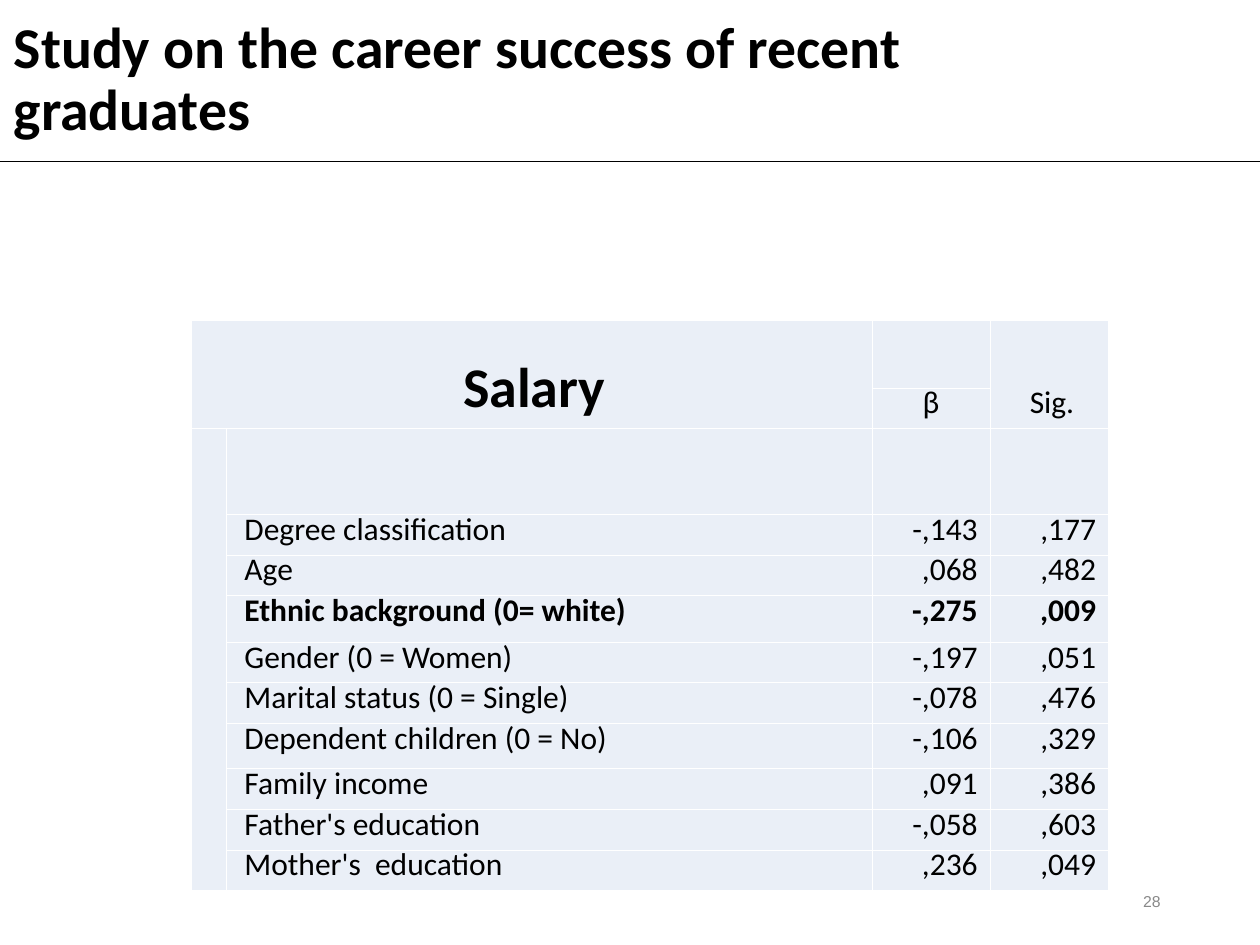
from pptx import Presentation
from pptx.dml.color import RGBColor
from pptx.enum.shapes import MSO_CONNECTOR
from pptx.enum.text import MSO_ANCHOR, PP_ALIGN
from pptx.oxml import parse_xml
from pptx.oxml.ns import nsdecls
from pptx.util import Inches, Pt

BLACK = RGBColor(0x00, 0x00, 0x00)
GREY = RGBColor(0x89, 0x89, 0x89)
PALE = RGBColor(0xEA, 0xEF, 0xF7)


def put(frame, text, size=18, font="Calibri", color=BLACK, bold=False,
        align=PP_ALIGN.LEFT, space=None, indent=0):
    para = frame.paragraphs[0]
    para.alignment = align
    para.line_spacing = space
    if indent:
        para._p.get_or_add_pPr().set("marL", str(Inches(indent)))
    run = para.add_run()
    run.text = text
    run.font.size = Pt(size)
    run.font.name = font
    run.font.bold = bold
    run.font.color.rgb = color


def edge(cell):
    props = cell._tc.get_or_add_tcPr()
    for i, side in enumerate(("lnL", "lnR", "lnT", "lnB")):
        props.insert(i, parse_xml(
            f'<a:{side} {nsdecls("a")} w="{Pt(0.45)}"><a:solidFill>'
            f'<a:srgbClr val="FFFFFF"/></a:solidFill></a:{side}>'))


deck = Presentation()
deck.slide_width = Inches(10)
deck.slide_height = Inches(7.5)
slide = deck.slides.add_slide(deck.slide_layouts[5])

rule = slide.shapes.add_connector(
    MSO_CONNECTOR.STRAIGHT, Inches(0), Inches(1.28), Inches(10), Inches(1.28))
rule.line.color.rgb = BLACK
rule.line.width = Pt(0.5)
rule._element.spPr.append(parse_xml(f'<a:effectLst {nsdecls("a")}/>'))

title = slide.shapes.title
title.left, title.top = Inches(0.01), Inches(0)
title.width, title.height = Inches(8.63), Inches(1.28)
title.text_frame.word_wrap = True
title.text_frame.vertical_anchor = MSO_ANCHOR.MIDDLE
put(title.text_frame, "Study on the career success of recent graduates",
    size=33, bold=True, space=0.9)

page = slide.shapes.add_textbox(
    Inches(7.06), Inches(6.95), Inches(2.25), Inches(0.4))
page.text_frame.word_wrap = True
page.text_frame.vertical_anchor = MSO_ANCHOR.MIDDLE
put(page.text_frame, "28", size=9, font="Arial", color=GREY,
    align=PP_ALIGN.RIGHT)

data = [
    ("Degree classification", "-,143", ",177"),
    ("Age", ",068", ",482"),
    ("Ethnic background (0= white)", "-,275", ",009"),
    ("Gender (0 = Women)", "-,197", ",051"),
    ("Marital status (0 = Single)", "-,078", ",476"),
    ("Dependent children (0 = No)", "-,106", ",329"),
    ("Family income", ",091", ",386"),
    ("Father's education", "-,058", ",603"),
    ("Mother's  education", ",236", ",049"),
]
widths = [0.28, 5.12, 0.94, 0.94]
heights = [0.54, 0.32, 0.68, 0.32, 0.32, 0.37, 0.32, 0.32, 0.36, 0.32, 0.32, 0.32]

table = slide.shapes.add_table(
    len(heights), len(widths), Inches(1.52), Inches(2.54),
    Inches(sum(widths)), Inches(sum(heights))).table
table.first_row = False
table.horz_banding = False
for col, width in zip(table.columns, widths):
    col.width = Inches(width)
for row, height in zip(table.rows, heights):
    row.height = Inches(height)
    for cell in row.cells:
        cell.fill.solid()
        cell.fill.fore_color.rgb = PALE
        cell.margin_top = cell.margin_bottom = Inches(0)
        edge(cell)

table.cell(0, 0).merge(table.cell(1, 1))
table.cell(0, 3).merge(table.cell(1, 3))
table.cell(2, 0).merge(table.cell(11, 0))

heads = [(0, 0, "Salary", 32, True, 0.04), (0, 3, "Sig.", 18, False, 0.04),
         (1, 2, "β", 18, False, 0)]
for r, c, text, size, bold, indent in heads:
    cell = table.cell(r, c)
    cell.vertical_anchor = MSO_ANCHOR.BOTTOM
    cell.margin_top = cell.margin_bottom = Inches(0.05)
    put(cell.text_frame, text, size=size, bold=bold, align=PP_ALIGN.CENTER,
        space=Pt(16), indent=indent)

for r, line in enumerate(data, 3):
    for c, text in enumerate(line, 1):
        cell = table.cell(r, c)
        cell.margin_top = cell.margin_bottom = Inches(0.05)
        put(cell.text_frame, text, bold=line[0].startswith("Ethnic"),
            align=PP_ALIGN.LEFT if c == 1 else PP_ALIGN.RIGHT,
            space=Pt(16), indent=0.04)

deck.save("out.pptx")
